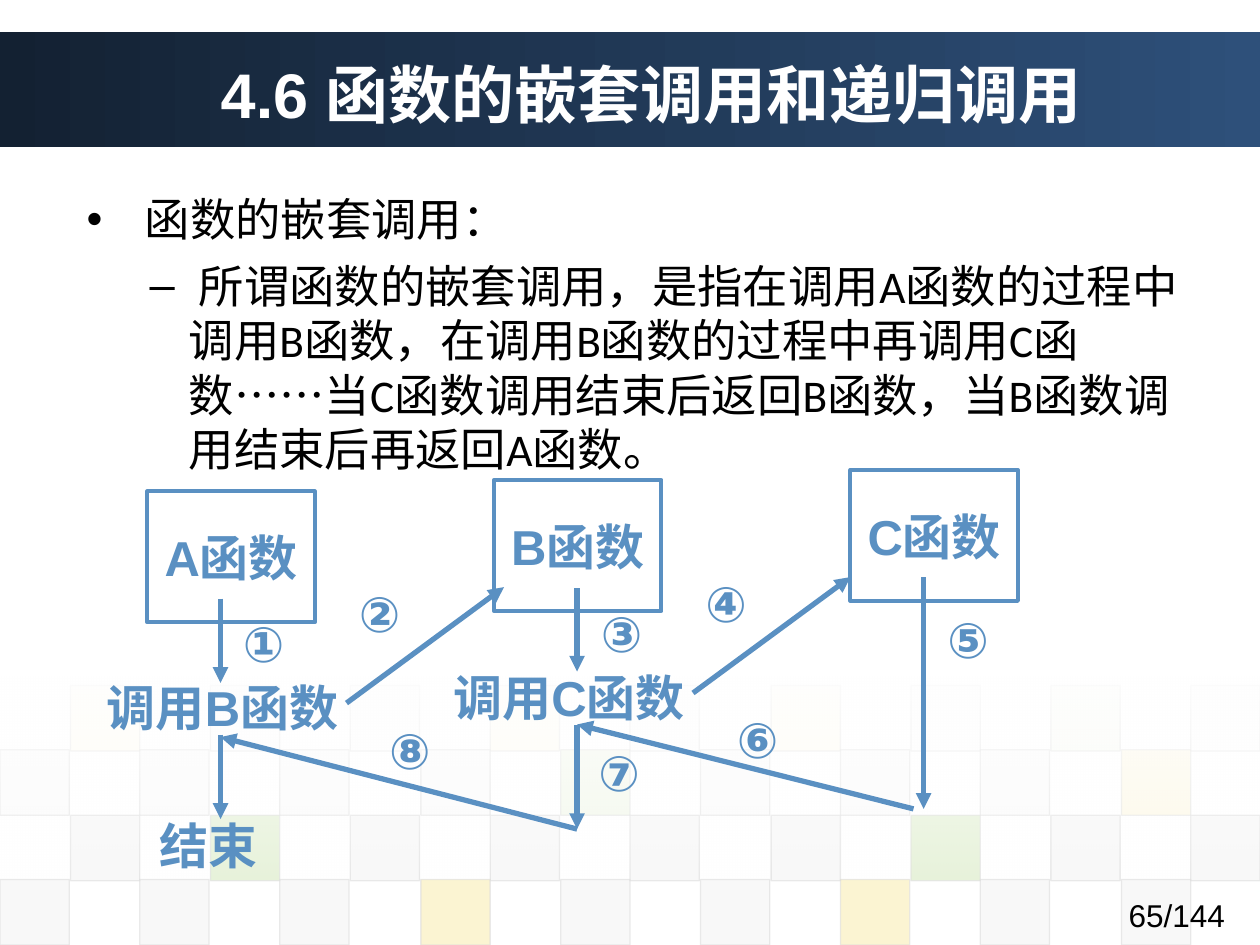
from dataclasses import dataclass
from typing import NamedTuple, Optional

from lxml.etree import SubElement
from pptx import Presentation
from pptx.dml.color import RGBColor
from pptx.enum.shapes import MSO_CONNECTOR as Connector, MSO_SHAPE as Preset
from pptx.enum.text import MSO_ANCHOR as Anchor, PP_ALIGN as Align
from pptx.oxml.ns import qn
from pptx.util import Pt

EMU_PER_PX = 9144  # 100 px to the inch


@dataclass(frozen=True)
class Theme:
    band_dark: str = "132132"
    band_light: str = "2E507A"
    white: str = "FFFFFF"
    black: str = "000000"
    diagram: str = "5A90C2"
    tile_line: str = "DDDDDD"
    sans: str = "Arial"
    body_font: str = "Calibri"
    dots_font: str = "DejaVu Sans"
    title_size: float = 36
    title_lead_size: float = 32
    body_size: float = 25.9
    diagram_size: float = 28
    page_size: float = 18
    box_line: float = 2.25
    arrow_line: float = 3


THEME = Theme()
TILE_COLORS = {"D": "DDDDDD", "L": "EAEAEA", "G": "8AC246", "Y": "EFC821"}


class Box(NamedTuple):
    left: int
    top: int
    width: int
    height: int


class TileRow(NamedTuple):
    top: int
    first_column: int
    opacity: int
    colors: str


class Label(NamedTuple):
    text: str
    box: Box


class Arrow(NamedTuple):
    start: tuple
    end: tuple
    mark: Optional[Label] = None


class Bullet(NamedTuple):
    char: str
    level: int
    margin: int
    hanging: int
    space_before: int
    runs: tuple


TITLE_FORMAT = dict(name=THEME.sans, size=Pt(THEME.title_size), bold=True)
LEAD_FORMAT = dict(TITLE_FORMAT, size=Pt(THEME.title_lead_size))
BODY_FORMAT = dict(name=THEME.body_font, size=Pt(THEME.body_size))
DOTS_FORMAT = dict(BODY_FORMAT, name=THEME.dots_font)
DIAGRAM_FORMAT = dict(name=THEME.sans, size=Pt(THEME.diagram_size), bold=True)
PAGE_FORMAT = dict(name=THEME.sans, size=Pt(THEME.page_size))

TILE_ROWS = [
    TileRow(544, 1, 5, "YLLYDYLGL"),
    TileRow(595, 0, 10, "DDDDGDDDY"),
    TileRow(647, 1, 20, "DGDDDDGDD"),
    TileRow(698, 0, 20, "DDDYDDYDD"),
]
BULLETS = [
    Bullet("•", 0, 38, 38, 0, ((" 函数的嵌套调用：", BODY_FORMAT),)),
    Bullet("–", 1, 81, 31, 7, (
        (" 所谓函数的嵌套调用，是指在调用A函数的过程中调用B函数，"
         "在调用B函数的过程中再调用C函数", BODY_FORMAT),
        ("……", DOTS_FORMAT),
        ("当C函数调用结束后返回B函数，当B函数调用结束后再返回A函数。", BODY_FORMAT),
    )),
]
FUNCTIONS = [
    Label("A函数", Box(117, 390, 133, 104)),
    Label("B函数", Box(392, 381, 133, 104)),
    Label("C函数", Box(675, 373, 133, 104)),
]
ACTIONS = [
    Label("调用B函数", Box(75, 533, 225, 57)),
    Label("调用C函数", Box(350, 525, 225, 57)),
    Label("结束", Box(117, 642, 117, 57)),
]
ARROWS = [
    Arrow((175, 475), (175, 542), Label("①", Box(183, 482, 50, 57))),
    Arrow((275, 558), (400, 466), Label("②", Box(275, 458, 125, 57))),
    Arrow((458, 467), (458, 533), Label("③", Box(467, 474, 50, 57))),
    Arrow((550, 550), (675, 458), Label("④", Box(550, 450, 125, 57))),
    Arrow((733, 458), (733, 642), Label("⑤", Box(742, 479, 50, 57))),
    Arrow((725, 642), (458, 575), Label("⑥", Box(575, 558, 83, 57))),
    Arrow((458, 575), (458, 658), Label("⑦", Box(465, 584, 43, 57))),
    Arrow((458, 658), (175, 585), Label("⑧", Box(299, 567, 89, 57))),
    Arrow((175, 583), (175, 650)),
]


def px(value: int) -> int:
    return value * EMU_PER_PX


def rgb(color: str) -> RGBColor:
    return RGBColor.from_string(color)


def set_opacity(element, percent: int) -> None:
    color = next(element.iter(qn("a:srgbClr")))
    SubElement(color, qn("a:alpha"), val=str(percent * 1000))


def add_run(paragraph, text: str, formats: dict, color: str) -> None:
    run = paragraph.add_run()
    run.text = text
    for name, value in formats.items():
        setattr(run.font, name, value)
    run.font.color.rgb = rgb(color)


def add_rectangle(slide, box: Box):
    shape = slide.shapes.add_shape(Preset.RECTANGLE, *map(px, box))
    shape.shadow.inherit = False
    return shape


def add_text(slide, box: Box):
    frame = slide.shapes.add_textbox(*map(px, box)).text_frame
    frame.word_wrap = True
    return frame


def add_gradient(slide, box: Box, colors: tuple, angle: int):
    shape = add_rectangle(slide, box)
    shape.line.fill.background()
    shape.fill.gradient()
    shape.fill.gradient_angle = angle
    for stop, position, color in zip(shape.fill.gradient_stops, (0, 1), colors):
        stop.position = position
        stop.color.rgb = rgb(color)
    return shape


def add_tile_row(slide, row: TileRow) -> None:
    for index, key in enumerate(row.colors):
        left = round(55.6 * (row.first_column + 2 * index))
        tile = add_rectangle(slide, Box(left, row.top, 55, 52))
        tile.fill.solid()
        tile.fill.fore_color.rgb = rgb(TILE_COLORS[key])
        tile.line.color.rgb = rgb(THEME.tile_line)
        tile.line.width = Pt(0.75)
        properties = tile.element.spPr
        set_opacity(properties.find(qn("a:solidFill")), row.opacity)
        set_opacity(properties.find(qn("a:ln")), 60)


def add_bullet(paragraph, bullet: Bullet) -> None:
    paragraph.level = bullet.level
    properties = paragraph._p.get_or_add_pPr()
    properties.set("marL", str(px(bullet.margin)))
    properties.set("indent", str(-px(bullet.hanging)))
    color = SubElement(properties, qn("a:buClr"))
    SubElement(color, qn("a:srgbClr"), val=THEME.black)
    SubElement(properties, qn("a:buFont"), typeface=THEME.sans)
    SubElement(properties, qn("a:buChar"), char=bullet.char)
    paragraph.space_before = Pt(bullet.space_before)
    for text, formats in bullet.runs:
        add_run(paragraph, text, formats, THEME.black)


def add_function(slide, label: Label) -> None:
    shape = add_rectangle(slide, label.box)
    shape.fill.background()
    shape.line.color.rgb = rgb(THEME.diagram)
    shape.line.width = Pt(THEME.box_line)
    shape.text_frame.vertical_anchor = Anchor.MIDDLE
    paragraph = shape.text_frame.paragraphs[0]
    paragraph.alignment = Align.CENTER
    add_run(paragraph, label.text, DIAGRAM_FORMAT, THEME.diagram)


def add_label(slide, label: Label) -> None:
    frame = add_text(slide, label.box)
    add_run(frame.paragraphs[0], label.text, DIAGRAM_FORMAT, THEME.diagram)


def add_arrow(slide, arrow: Arrow) -> None:
    line = slide.shapes.add_connector(
        Connector.STRAIGHT, *map(px, arrow.start + arrow.end))
    line.line.color.rgb = rgb(THEME.diagram)
    line.line.width = Pt(THEME.arrow_line)
    SubElement(line.line._get_or_add_ln(), qn("a:tailEnd"), type="triangle")
    SubElement(line._element.spPr, qn("a:effectLst"))
    if arrow.mark:
        add_label(slide, arrow.mark)


def main() -> None:
    presentation = Presentation()
    presentation.slide_width, presentation.slide_height = px(1000), px(750)
    slide = presentation.slides.add_slide(presentation.slide_layouts[6])

    # Background: title band, tiles and the white fade over them
    add_gradient(slide, Box(0, 25, 1000, 92), (THEME.band_dark, THEME.band_light), 0)
    for row in TILE_ROWS:
        add_tile_row(slide, row)
    fade = add_gradient(slide, Box(0, 537, 1000, 162), (THEME.white, THEME.white), 270)
    for stop, opacity in zip(fade.element.spPr.iter(qn("a:gs")), (90, 0)):
        set_opacity(stop, opacity)

    # Page number and title
    page = add_text(slide, Box(886, 706, 110, 70))
    add_run(page.paragraphs[0], "65/144", PAGE_FORMAT, THEME.black)
    title = add_text(slide, Box(153, 28, 808, 92))
    title.vertical_anchor = Anchor.MIDDLE
    add_run(title.paragraphs[0], " ", LEAD_FORMAT, THEME.white)
    add_run(title.paragraphs[0], "4.6 函数的嵌套调用和递归调用", TITLE_FORMAT, THEME.white)

    # Explanation
    body = add_text(slide, Box(59, 147, 900, 247))
    for index, bullet in enumerate(BULLETS):
        add_bullet(body.add_paragraph() if index else body.paragraphs[0], bullet)

    # Call diagram
    for label in FUNCTIONS:
        add_function(slide, label)
    for label in ACTIONS:
        add_label(slide, label)
    for arrow in ARROWS:
        add_arrow(slide, arrow)

    presentation.save("out.pptx")


if __name__ == "__main__":
    main()
